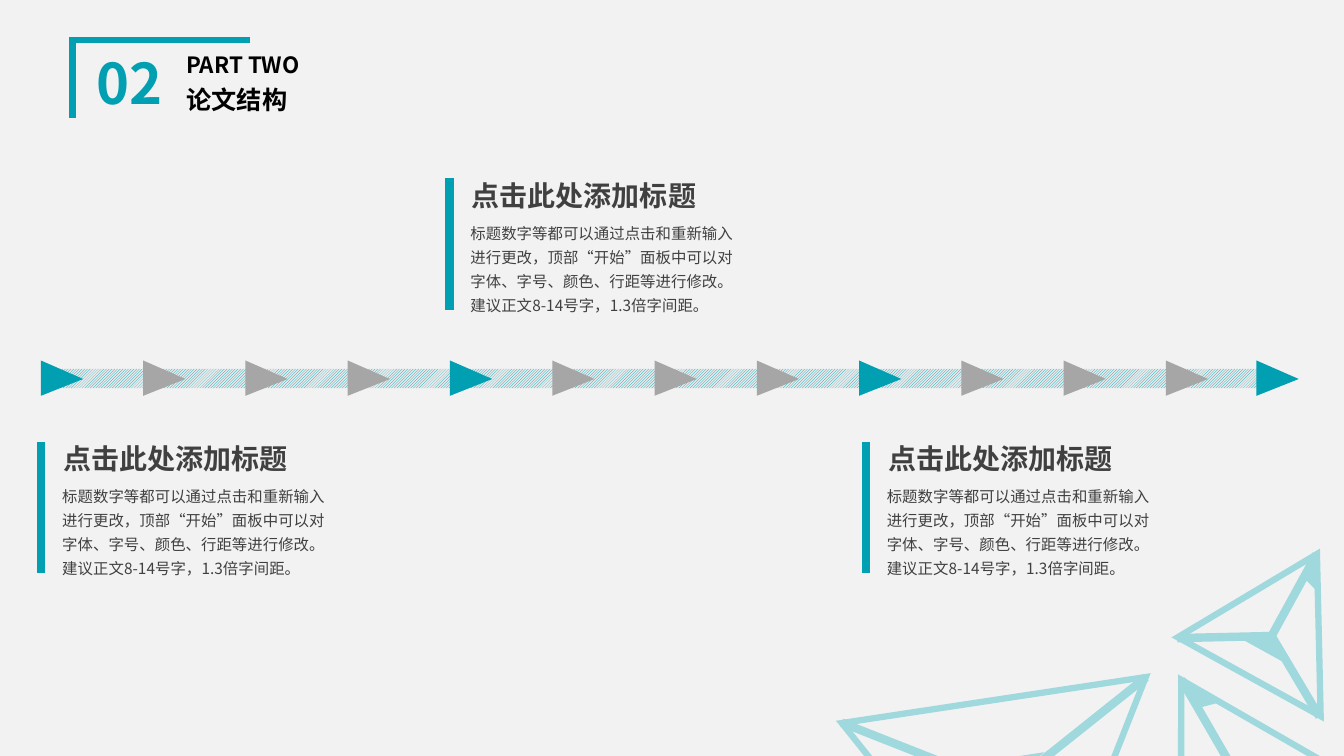
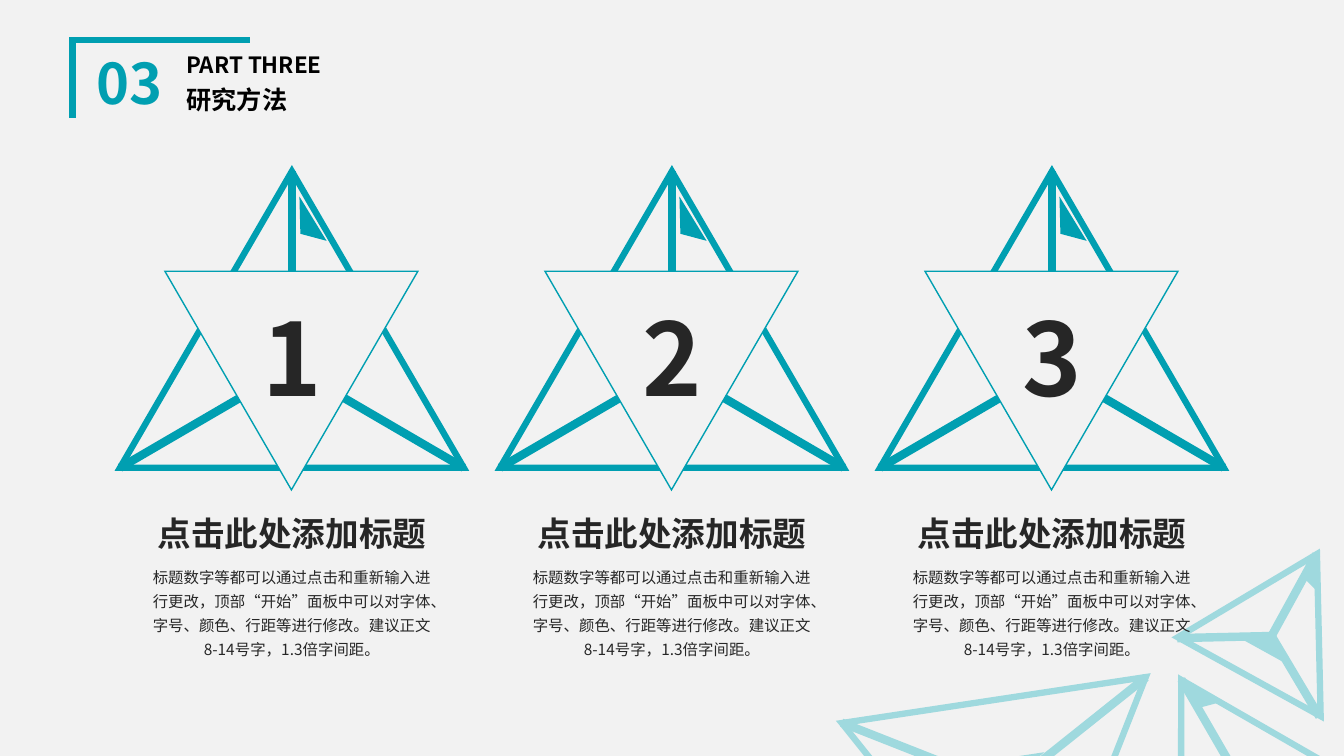
"""Build two thesis slides: a structure timeline and three research methods."""
import lxml.etree
import pptx
import pptx.dml.color
import pptx.enum.dml
import pptx.enum.shapes
import pptx.enum.text
import pptx.oxml.ns
import pptx.util

Pt = pptx.util.Pt
RGBColor = pptx.dml.color.RGBColor
Shape = pptx.enum.shapes.MSO_SHAPE
Align = pptx.enum.text.PP_ALIGN
Fit = pptx.enum.text.MSO_AUTO_SIZE
Anchor = pptx.enum.text.MSO_ANCHOR
qn = pptx.oxml.ns.qn

TEAL = RGBColor(0x00, 0x9F, 0xB1)
PALE_TEAL = RGBColor(0x9F, 0xD9, 0xDE)
PAPER = RGBColor(0xF2, 0xF2, 0xF2)
STRIPE = RGBColor(0xE9, 0xE9, 0xE9)
GREY = RGBColor(0xA6, 0xA6, 0xA6)
BLACK = RGBColor(0x00, 0x00, 0x00)
INK = RGBColor(0x26, 0x26, 0x26)
DARK_GREY = RGBColor(0x40, 0x40, 0x40)

FONT = "Noto Sans CJK SC"
HEADING = "点击此处添加标题"
BODY = (
    "标题数字等都可以通过点击和重新输入进行更改，顶部“开始”面板中可以对字体、"
    "字号、颜色、行距等进行修改。建议正文8-14号字，1.3倍字间距。"
)


class Deck:
    """Hold the shared style and the slide being drawn."""

    def __init__(self):
        self.presentation = pptx.Presentation()
        self.presentation.slide_width = Pt(960)
        self.presentation.slide_height = Pt(540)
        self.layout = self.presentation.slide_layouts.get_by_name("Title Only")
        backdrop = self.presentation.slide_master.background.fill
        backdrop.solid()
        backdrop.fore_color.rgb = PAPER
        self.slide = None

    def section(self, number, part, title):
        self.slide = self.presentation.slides.add_slide(self.layout)
        if len(self.presentation.slides) == 1:
            self.decorate_layout()
        heading = self.slide.shapes.title
        heading.left, heading.top = Pt(126), Pt(56.2)
        heading.width, heading.height = Pt(192.2), Pt(31.7)
        self.fill_text(heading, title, 18, BLACK, True)
        labels = (
            heading,
            self.text(59, 35.3, 67, 52.6, number, 40, TEAL, True, Align.CENTER),
            self.text(126, 35.3, 192.2, 24.5, part, 16, BLACK, True),
        )
        for label in labels:
            label.text_frame.auto_size = Fit.NONE
            label.text_frame.vertical_anchor = Anchor.MIDDLE
            label.text_frame.paragraphs[0].line_spacing = 0.9
            label.text_frame.paragraphs[0].space_before = Pt(10)

    def decorate_layout(self):
        def frame(x, y, width, height, angle):
            return self.shape(Shape.ISOSCELES_TRIANGLE, x, y, width, height,
                              PAPER, PALE_TEAL, 4.5, angle)

        def spoke(*ends):
            return self.line(*ends, PALE_TEAL)

        def wedge(x, y, width, height, angle):
            return self.shape(Shape.ISOSCELES_TRIANGLE, x, y, width, height,
                              PALE_TEAL, PALE_TEAL, 1, angle)

        def shard(*corners):
            return self.outline(corners, PALE_TEAL, PALE_TEAL, 1)

        decorations = (
            self.outline([(51.8, 84.2), (51.8, 28.8), (178.6, 28.8)],
                         None, TEAL, 4.5, closed=False),
            frame(614.2, 499, 219.6, 189.4, 171.4),
            spoke(818.6, 483.8, 719.3, 563),
            spoke(601.2, 516.2, 720, 563),
            wedge(689, 542.2, 56.9, 17.3, 171.4),
            frame(803.5, 477.4, 141.8, 122.4, 330),
            spoke(843.8, 485.3, 884.2, 555.1),
            shard((858.2, 504.7), (869, 501.8), (850.3, 491)),
            frame(858.2, 389.5, 116.6, 100.1, 28.9),
            spoke(940.3, 396, 908.3, 454.3),
            spoke(841, 455.8, 908.3, 454.3),
            spoke(942.5, 511.9, 908.3, 454.3),
            wedge(889.9, 455.8, 30.2, 9.4, 28.9),
            shard((933.1, 414), (939.6, 420.5), (938.9, 403.2)),
        )
        for shape_id, decoration in enumerate(decorations, 100):
            decoration.element.xpath(".//p:cNvPr")[0].set("id", str(shape_id))
            self.layout.shapes.element.append(decoration.element)

    def paint(self, shape, fill, stroke, weight):
        shape.shadow.inherit = False
        if fill is None:
            shape.fill.background()
        else:
            shape.fill.solid()
            shape.fill.fore_color.rgb = fill
        if stroke is None:
            shape.line.fill.background()
        else:
            shape.line.color.rgb = stroke
            shape.line.width = Pt(weight)
            line = shape.element.spPr.find(qn("a:ln"))
            lxml.etree.SubElement(line, qn("a:miter"), lim="800000")
        return shape

    def shape(self, kind, x, y, width, height, fill, stroke=None, weight=1, angle=0):
        shape = self.slide.shapes.add_shape(
            kind, Pt(x), Pt(y), Pt(width), Pt(height))
        shape.rotation = angle
        return self.paint(shape, fill, stroke, weight)

    def outline(self, corners, fill, stroke=None, weight=1, closed=True):
        points = [(Pt(x), Pt(y)) for x, y in corners]
        builder = self.slide.shapes.build_freeform(*points[0])
        builder.add_line_segments(points[1:], close=closed)
        return self.paint(builder.convert_to_shape(), fill, stroke, weight)

    def line(self, x1, y1, x2, y2, color, weight=6):
        line = self.slide.shapes.add_connector(
            pptx.enum.shapes.MSO_CONNECTOR.STRAIGHT, Pt(x1), Pt(y1), Pt(x2), Pt(y2))
        line.line.color.rgb = color
        line.line.width = Pt(weight)
        lxml.etree.SubElement(line.element.spPr, qn("a:effectLst"))
        return line

    def fill_text(self, holder, words, size, color, bold, align=Align.LEFT):
        holder.text_frame.text = words
        paragraph = holder.text_frame.paragraphs[0]
        paragraph.alignment = align
        font = paragraph.font
        font.name, font.size, font.bold = FONT, Pt(size), bold
        font.color.rgb = color
        defaults = holder.element.xpath(".//a:pPr/a:defRPr")[0]
        lxml.etree.SubElement(defaults, qn("a:ea"), typeface=FONT)

    def text(self, x, y, width, height, words, size, color,
             bold=False, align=Align.LEFT, wrap=True, spacing=None):
        box = self.slide.shapes.add_textbox(Pt(x), Pt(y), Pt(width), Pt(height))
        box.text_frame.word_wrap = wrap
        box.text_frame.auto_size = Fit.SHAPE_TO_FIT_TEXT
        self.fill_text(box, words, size, color, bold, align)
        if spacing:
            box.text_frame.paragraphs[0].line_spacing = spacing
        return box

    def timeline(self):
        band = self.shape(Shape.RECTANGLE, 29.5, 263.5, 880.6, 13.7, STRIPE)
        band.fill.patterned()
        band.fill.pattern = pptx.enum.dml.MSO_PATTERN.LIGHT_UPWARD_DIAGONAL
        band.fill.fore_color.rgb = TEAL
        band.fill.back_color.rgb = STRIPE
        positions = [31.7 + 73.05 * step for step in range(12)] + [900]
        for step, x in enumerate(positions):
            marker = self.shape(Shape.ISOSCELES_TRIANGLE, x, 255, 25.2, 30.2,
                                GREY if step % 4 else TEAL, angle=90)
            marker.adjustments[0] = 0.525

    def card(self, x, y):
        self.line(x, y, x, y + 94, TEAL)
        self.text(x + 8.8, y - 3.6, 189.4, 31.7, HEADING, 20, DARK_GREY, True)
        self.text(x + 7.9, y + 25.2, 205.9, 76.3, BODY, 11, DARK_GREY, spacing=1.3)

    def method(self, center, number):
        def centered(y, width, height, words, size, **style):
            self.text(center - width / 2, y, width, height, words, size, INK,
                      align=Align.CENTER, **style)

        half, top, base, hub = 122.75, 122.4, 334.1, 262.6
        self.shape(Shape.ISOSCELES_TRIANGLE, center - half, top, 2 * half, base - top,
                   PAPER, TEAL, 4.5)
        for x, y in ((center, top), (center - half, base), (center + half, base)):
            self.line(x, y, center, hub, TEAL)
        self.outline([(center + 6.1, 167), (center + 24.8, 172), (center + 5.4, 140.4)],
                     TEAL)
        self.shape(Shape.ISOSCELES_TRIANGLE, center - 90.7, 193.7, 180.7, 156.2,
                   PAPER, TEAL, 1, 180)
        centered(207.4, 59, 94.3, number, 72, bold=True, wrap=False)
        centered(362.9, 208, 36, HEADING, 24, bold=True, wrap=False)
        centered(398.2, 218.2, 76.3, BODY, 11, spacing=1.3)


def main():
    deck = Deck()
    deck.section("02", "PART TWO", "论文结构")
    deck.timeline()
    for x, y in ((29.5, 315.4), (321.1, 127.4), (618.5, 315.4)):
        deck.card(x, y)

    deck.section("03", "PART THREE", "研究方法")
    for index in range(3):
        deck.method(208.5 + 271.45 * index, str(index + 1))
    deck.presentation.save("out.pptx")


if __name__ == "__main__":
    main()
